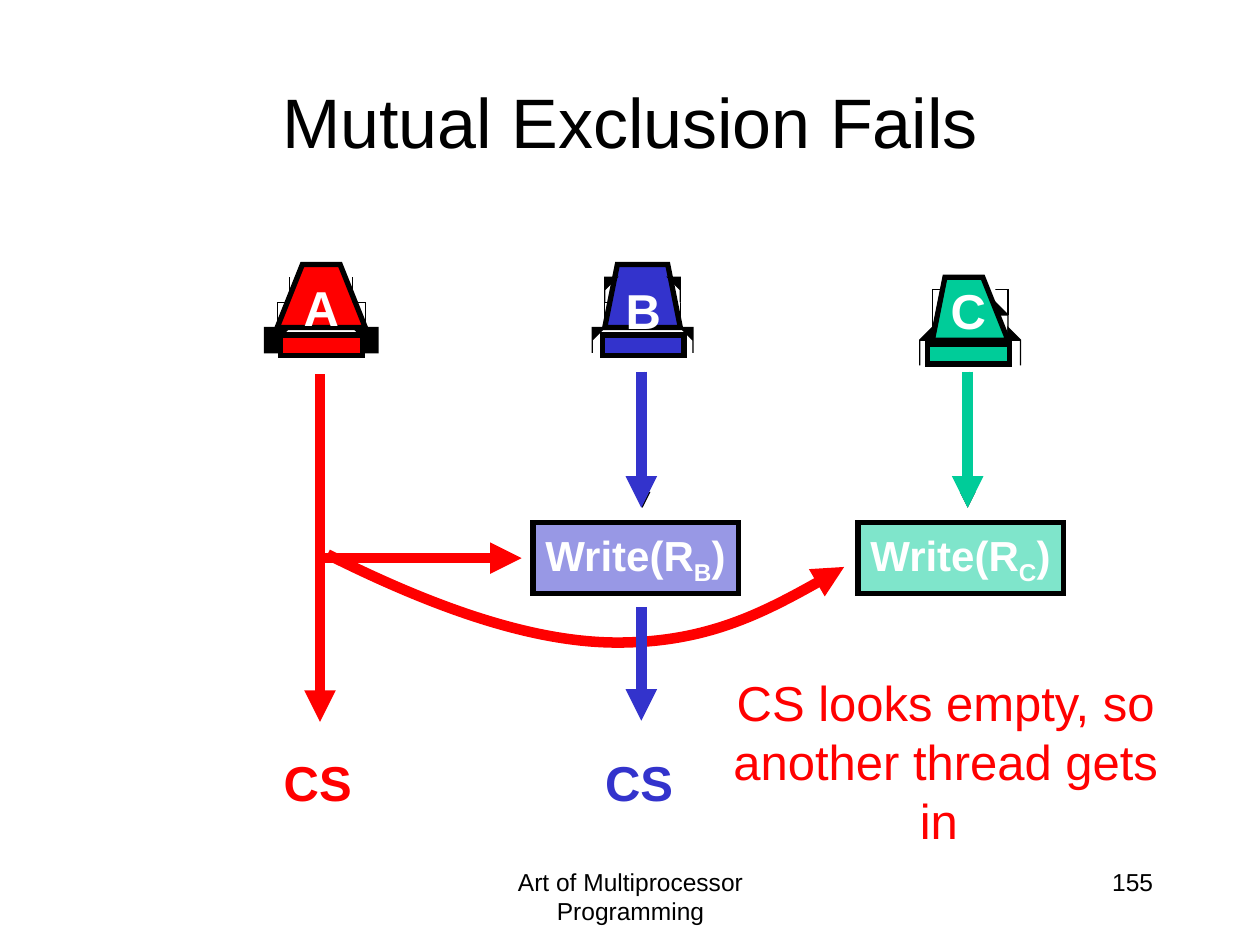
"""Build the slide that shows how mutual exclusion fails for three threads."""
from dataclasses import dataclass
from typing import Optional

from lxml import etree
from pptx import Presentation, util as u
from pptx.dml.color import RGBColor
from pptx.enum import dml, shapes, text
from pptx.oxml import ns

CELL = u.Inches(0.1)
RED, BLUE, GREEN, BLACK, WHITE = "FF0000", "3333CC", "00CC99", "000000", "FFFFFF"
LEFT, CENTER, RIGHT = text.PP_ALIGN.LEFT, text.PP_ALIGN.CENTER, text.PP_ALIGN.RIGHT
LOWER_LEG = [(2.85, 4.5), (4.25, 4.95), (4.25, 6.95), (3.8, 7.3), (3.75, 5.55), (2.9, 5.05)]
UPPER_LEG = [(2.1, 0.95), (2.95, 1.3), (2.95, 2.85), (2.65, 3.1), (2.65, 1.7), (2.15, 1.3)]
MIDDLE_LEG = [(column + 0.4, row + 1.75) for column, row in UPPER_LEG]
BODY = [(-3.25, 5.5), (-1.6, 0), (1.6, 0), (3.25, 5.5)]
CURVE = [(25.7, 44.4), (34.1, 47.8), (42.4, 51.2), (49.4, 51.3),
         (56.3, 51.3), (61.8, 48), (67.3, 44.8)]


@dataclass
class Thread:
    """A thread figure placed by its centre column and top row."""
    name: str
    colour: str
    column: float
    row: float
    name_row: float


@dataclass
class Register:
    """A box that writes the register of one thread."""
    owner: str
    colour: str
    column: float


@dataclass
class Arrow:
    """A straight arrow between two grid points."""
    start: tuple[float, float]
    end: tuple[float, float]
    colour: str
    weight: float = 6
    dash: Optional[dml.MSO_LINE] = None


@dataclass
class Caption:
    """A text box on the grid."""
    words: str
    place: tuple[float, float, float, float]
    size: float
    colour: str
    align: text.PP_ALIGN
    bold: bool = False
    wrap: bool = True


THREADS = [Thread("B", BLUE, 51.05, 21, 21.8), Thread("C", GREEN, 76.85, 21.7, 21.8),
           Thread("A", RED, 25.5, 21, 21.5)]
REGISTERS = [Register("B", BLUE, 42.3), Register("C", GREEN, 68.1)]
ARROWS = [
    Arrow((51, 29.5), (51, 40.3), BLACK, 3, dml.MSO_LINE.DASH),
    Arrow((76.8, 29.5), (76.8, 40.3), BLACK, 3, dml.MSO_LINE.DASH),
    Arrow((50.9, 29.5), (50.9, 40.3), BLUE),
    Arrow((76.8, 29.5), (76.8, 40.3), GREEN),
    Arrow((25.4, 29.7), (25.4, 57.3), RED),
    Arrow((25.4, 44.3), (41.4, 44.3), RED),
]
LAST_ARROW = Arrow((50.9, 48.2), (50.9, 57.2), BLUE)
CAPTIONS = [
    Caption("Art of Multiprocessor Programming", (34.2, 68.3, 31.7, 5), 14, BLACK, CENTER),
    Caption("155", (71.7, 68.3, 20.8, 5), 14, BLACK, RIGHT),
    Caption("CS", (21.5, 59.2, 7.4, 5.7), 28, RED, RIGHT, True, False),
    Caption("CS", (47, 59.2, 7.4, 5.7), 28, BLUE, RIGHT, True, False),
    Caption("CS looks empty, so another thread gets in ", (55.8, 52.9, 38.5, 15), 28, RED, CENTER),
]


def rgb(colour: str) -> RGBColor:
    """Turn a hex string into a colour."""
    return RGBColor.from_string(colour)


def cells(*lengths: float) -> list[int]:
    """Turn grid columns and rows into slide lengths."""
    return [round(length * CELL) for length in lengths]


def write(frame, runs: list[str], size: float, colour: str, align, bold=False, wrap=True) -> None:
    """Fill a text frame with one formatted paragraph."""
    frame.word_wrap = wrap
    paragraph = frame.paragraphs[0]
    paragraph.alignment = align
    for words in runs:
        run = paragraph.add_run()
        run.text = words
        font = run.font
        font.name, font.size, font.bold = "Arial", u.Pt(size), bold
        font.color.rgb = rgb(colour)


def add_caption(parent, caption: Caption) -> None:
    """Add a text box."""
    box = parent.add_textbox(*cells(*caption.place))
    write(box.text_frame, [caption.words], caption.size, caption.colour,
          caption.align, caption.bold, caption.wrap)


def paint(shape, colour: str, weight: float) -> None:
    """Give a shape a plain fill and a black mitred outline."""
    shape.shadow.inherit = False
    shape.fill.solid()
    shape.fill.fore_color.rgb = rgb(colour)
    shape.line.color.rgb = rgb(BLACK)
    shape.line.width = u.Pt(weight)
    etree.SubElement(shape.line._get_or_add_ln(), ns.qn("a:miter"), lim="800000")


def add_outline(parent, points: list[tuple[float, float]], closed: bool = True):
    """Add a freeform through grid points."""
    builder = parent.build_freeform(*points[0], scale=CELL)
    builder.add_line_segments(points[1:], close=closed)
    return builder.convert_to_shape()


def add_thread(slide, thread: Thread) -> None:
    """Draw a thread as a body on mirrored legs, with its name."""
    group = slide.shapes.add_group_shape().shapes

    def add_part(points, colour, weight, side=1) -> None:
        """Add one outline of the figure."""
        placed = [(thread.column + side * column, thread.row + row) for column, row in points]
        paint(add_outline(group, placed), colour, weight)

    def add_legs(leg) -> None:
        """Add a leg and its mirror image."""
        for side in (1, -1):
            add_part(leg, BLACK, 0.75, side)

    add_legs(LOWER_LEG)
    add_legs(MIDDLE_LEG)
    add_part(BODY, thread.colour, 3)
    base = group.add_shape(shapes.MSO_SHAPE.RECTANGLE,
                           *cells(thread.column - 3.25, thread.row + 5.6, 6.5, 1.6))
    paint(base, thread.colour, 3)
    add_legs(UPPER_LEG)
    add_caption(group, Caption(thread.name, (thread.column - 2.4, thread.name_row, 4.8, 5.7),
                               28, WHITE, CENTER, True, False))


def add_register(slide, register: Register) -> None:
    """Draw a half transparent box with a subscripted register name."""
    box = slide.shapes.add_shape(shapes.MSO_SHAPE.RECTANGLE,
                                 *cells(register.column, 41.5, 16.3, 5.6))
    paint(box, register.colour, 3)
    fill_colour = box._element.spPr.find(ns.qn("a:solidFill"))[0]
    etree.SubElement(fill_colour, ns.qn("a:alpha"), val="50000")
    frame = box.text_frame
    frame.vertical_anchor = text.MSO_ANCHOR.TOP
    write(frame, ["Write(R", register.owner, ")"], 24, WHITE, LEFT, True, False)
    frame.paragraphs[0].runs[1]._r.get_or_add_rPr().set("baseline", "-25000")


def style_arrow(shape, colour: str, weight: float, dash=None) -> None:
    """Format a line with an arrowhead at its end and no shadow."""
    shape.line.color.rgb = rgb(colour)
    shape.line.width = u.Pt(weight)
    if dash:
        shape.line.dash_style = dash
    etree.SubElement(shape.line._get_or_add_ln(), ns.qn("a:tailEnd"), type="triangle")
    etree.SubElement(shape._element.spPr, ns.qn("a:effectLst"))


def add_arrow(slide, arrow: Arrow) -> None:
    """Add a straight arrow."""
    line = slide.shapes.add_connector(shapes.MSO_CONNECTOR.STRAIGHT,
                                      *cells(*arrow.start, *arrow.end))
    style_arrow(line, arrow.colour, arrow.weight, arrow.dash)


def add_curve(slide) -> None:
    """Add the curved red arrow, joining each three points into a Bezier segment."""
    curve = add_outline(slide.shapes, CURVE, closed=False)
    curve.fill.background()
    style_arrow(curve, RED, 6)
    segments = list(curve._element.iter(ns.qn("a:lnTo")))
    for first, second, third in zip(segments[::3], segments[1::3], segments[2::3]):
        first.tag = ns.qn("a:cubicBezTo")
        for segment in (second, third):
            first.append(segment[0])
            segment.getparent().remove(segment)


def main() -> None:
    """Build and save the presentation."""
    presentation = Presentation()
    presentation.slide_width, presentation.slide_height = cells(100, 75)
    slide = presentation.slides.add_slide(presentation.slide_layouts[5])
    title = slide.shapes.title
    title.left, title.top, title.width, title.height = cells(7.5, 3.3, 85, 12.5)
    title.text_frame.vertical_anchor = text.MSO_ANCHOR.MIDDLE
    write(title.text_frame, ["Mutual Exclusion Fails"], 40, BLACK, CENTER)
    for register in REGISTERS:
        add_register(slide, register)
    for thread in THREADS:
        add_thread(slide, thread)
    for arrow in ARROWS:
        add_arrow(slide, arrow)
    add_curve(slide)
    add_arrow(slide, LAST_ARROW)
    for caption in CAPTIONS:
        add_caption(slide.shapes, caption)
    presentation.save("out.pptx")


if __name__ == "__main__":
    main()
